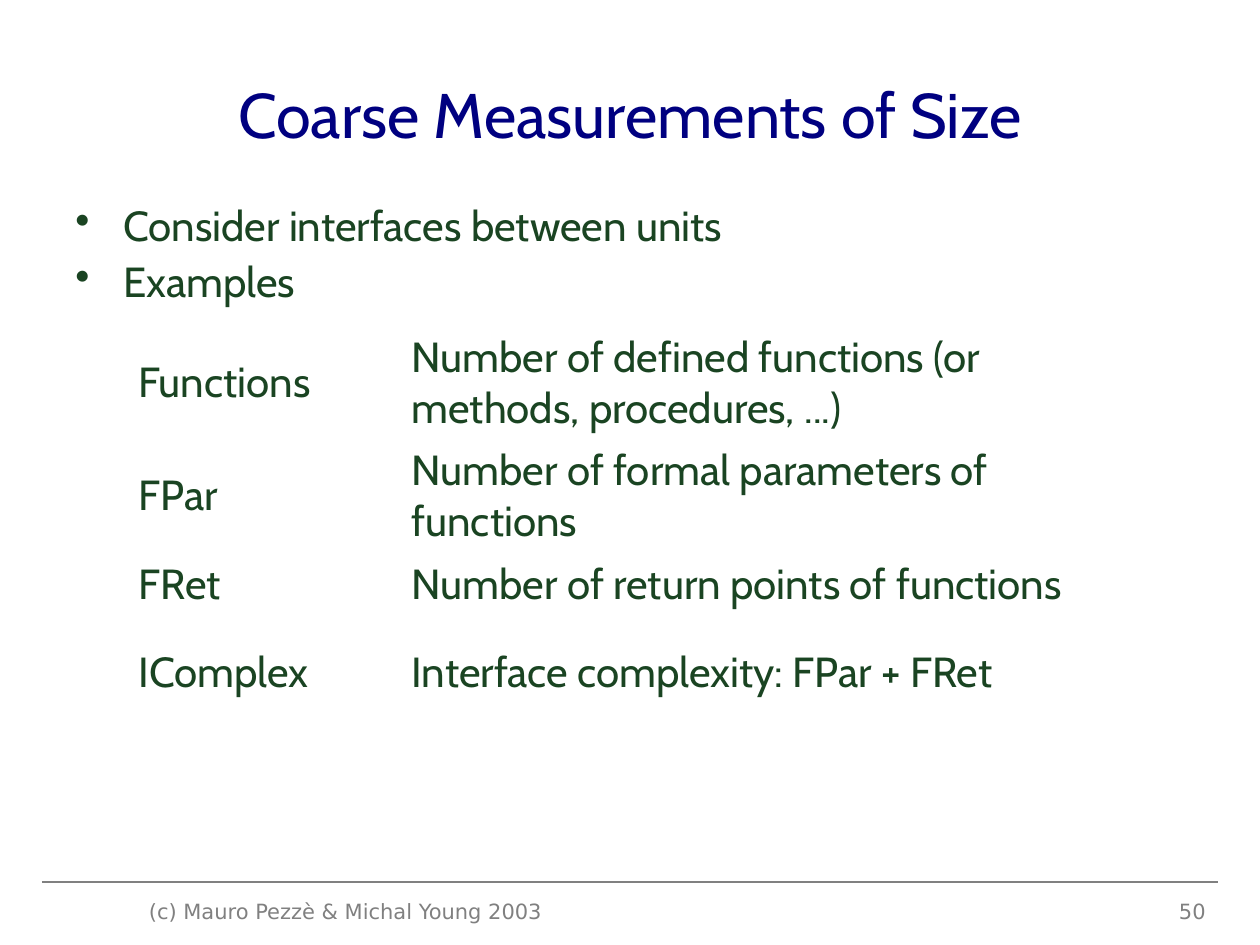
from dataclasses import dataclass

from lxml import etree
from pptx import Presentation
from pptx.dml.color import RGBColor
from pptx.enum.shapes import MSO_CONNECTOR
from pptx.enum.text import MSO_ANCHOR, PP_ALIGN
from pptx.oxml.ns import qn
from pptx.util import Inches, Pt

LEFT, CENTER, RIGHT = PP_ALIGN.LEFT, PP_ALIGN.CENTER, PP_ALIGN.RIGHT
TOP, MIDDLE = MSO_ANCHOR.TOP, MSO_ANCHOR.MIDDLE
STRAIGHT = MSO_CONNECTOR.STRAIGHT
BLANK = 6


@dataclass(frozen=True)
class Style:
    font: str
    size: int
    color: str


class Theme:
    title = Style("Cabin", 36, "000080")
    body = Style("Cabin", 24, "1A4422")
    footer = Style("DejaVu Sans", 12, "808080")
    rule = "808080"
    rule_width = 0.75
    line_spacing = 0.9
    bullet_gap = 6
    bullet_indent = 0.38
    cell_indent = 0.5


class SlideBuilder:
    """Places elements on a grid of 120 columns by 90 rows."""

    def __init__(self, prs, theme):
        self.theme = theme
        self.slide = prs.slides.add_slide(prs.slide_layouts[BLANK])
        self.col = prs.slide_width / 120
        self.row = prs.slide_height / 90

    def grid(self, x, y, w, h):
        return (round(x * self.col), round(y * self.row),
                round(w * self.col), round(h * self.row))

    def format(self, p, style):
        for r in p.runs:
            r.font.name = style.font
            r.font.size = Pt(style.size)
            r.font.color.rgb = RGBColor.from_string(style.color)

    def text(self, text, box, style, align=LEFT, anchor=TOP):
        tf = self.slide.shapes.add_textbox(*self.grid(*box)).text_frame
        tf.word_wrap = True
        tf.vertical_anchor = anchor
        tf.text = text
        for p in tf.paragraphs:
            p.alignment = align
            self.format(p, style)
        return tf

    def bullets(self, items, box):
        theme = self.theme
        tf = self.text("\n".join(items), box, theme.body)
        indent = Inches(theme.bullet_indent)
        for i, p in enumerate(tf.paragraphs):
            p.line_spacing = theme.line_spacing
            if i:
                p.space_before = Pt(theme.bullet_gap)
            pPr = p._p.get_or_add_pPr()
            pPr.set("marL", str(indent))
            pPr.set("indent", str(-indent))
            color = etree.SubElement(pPr, qn("a:buClr"))
            etree.SubElement(color, qn("a:srgbClr"), val=theme.body.color)
            etree.SubElement(pPr, qn("a:buChar"), char="•")

    def table(self, data, x, y, widths, heights):
        box = self.grid(x, y, sum(widths), sum(heights))
        table = self.slide.shapes.add_table(len(data), len(widths), *box).table
        table.first_row = table.horz_banding = False
        for column, width in zip(table.columns, widths):
            column.width = round(width * self.col)
        for row, height, texts in zip(table.rows, heights, data):
            row.height = round(height * self.row)
            for cell, text in zip(row.cells, texts):
                cell.fill.background()
                cell.vertical_anchor = MIDDLE
                cell.text = text
                p = cell.text_frame.paragraphs[0]
                p.level = 1
                pPr = p._p.get_or_add_pPr()
                pPr.set("marL", str(Inches(self.theme.cell_indent)))
                pPr.set("indent", "0")
                self.format(p, self.theme.body)

    def rule(self, x, y, w):
        left, top, width, _ = self.grid(x, y, w, 0)
        line = self.slide.shapes.add_connector(
            STRAIGHT, left, top, left + width, top)
        line.line.color.rgb = RGBColor.from_string(self.theme.rule)
        line.line.width = Pt(self.theme.rule_width)
        etree.SubElement(line._element.spPr, qn("a:effectLst"))


def main():
    prs = Presentation()
    prs.slide_width, prs.slide_height = Inches(10), Inches(7.5)
    theme = Theme()
    s = SlideBuilder(prs, theme)

    # Footer rule
    s.rule(4, 84, 112)

    # Title and bullets
    s.text("Coarse Measurements of Size", (6, 3.6, 108, 14.4),
           theme.title, CENTER, MIDDLE)
    s.bullets(["Consider interfaces between units", "Examples"],
              (6, 19, 108, 11))

    # Table of measures
    measures = [
        ("Functions",
         "Number of defined functions (or methods, procedures, ...)"),
        ("FPar", "Number of formal parameters of functions"),
        ("FRet", "Number of return points of functions"),
        ("IComplex", "Interface complexity: FPar + FRet"),
    ]
    s.table(measures, 6, 31, widths=(26, 78), heights=(10.8, 10.8, 6, 10.8))

    # Footer
    s.text("(c) Mauro Pezzè & Michal Young 2003", (13, 85, 42, 3.25),
           theme.footer)
    s.text("50", (88, 85, 28, 3.25), theme.footer, RIGHT)

    prs.save("out.pptx")


if __name__ == "__main__":
    main()
